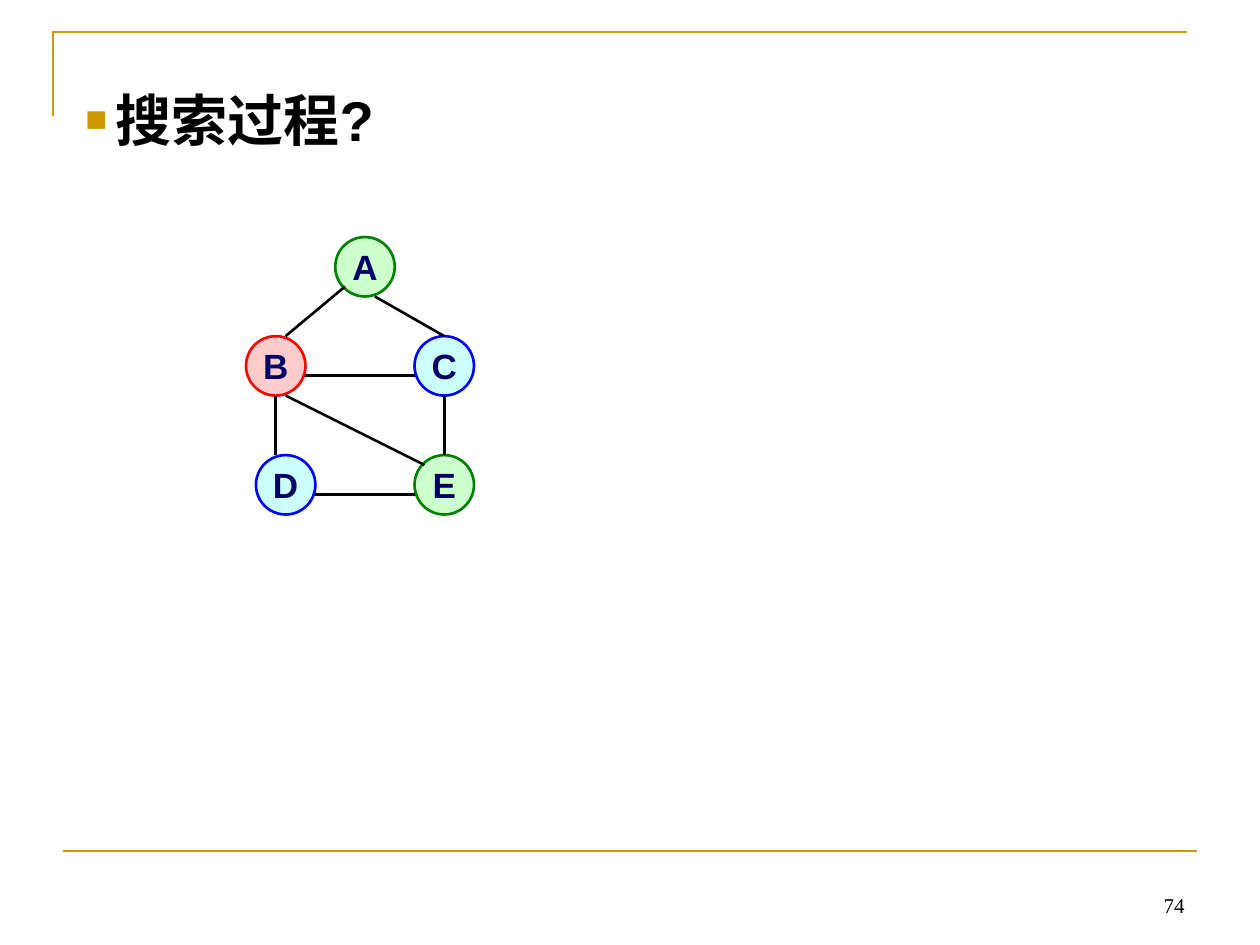
from collections import namedtuple
from dataclasses import dataclass

from lxml import etree
from pptx import Presentation
from pptx import util as u
from pptx.dml.color import RGBColor
from pptx.enum import shapes, text
from pptx.oxml.ns import qn

PX = 914400 / 126  # EMU in one px
Box = namedtuple("Box", "left top width height")


@dataclass(frozen=True)
class Theme:
    gold: str = "CC9900"
    ink: str = "000000"
    letter: str = "000066"
    green: tuple = ("CCFFCC", "008000")  # fill, outline
    blue: tuple = ("CCFFFF", "0000FF")
    red: tuple = ("FFCCCC", "FF0000")
    sans: str = "Arial"
    serif: str = "Times New Roman"
    heading_size: int = 32
    node_size: int = 20
    number_size: int = 12
    stroke: float = 1.5


THEME = Theme()


def px(length):
    return u.Emu(round(length * PX))


def rgb(value):
    return RGBColor.from_string(value)


def set_stroke(shape, color):
    shape.line.color.rgb = rgb(color)
    shape.line.width = u.Pt(THEME.stroke)


def add_line(page, start, end, color):
    line = page.shapes.add_connector(
        shapes.MSO_CONNECTOR.STRAIGHT, *map(px, (*start, *end)))
    set_stroke(line, color)
    etree.SubElement(line._element.spPr, qn("a:effectLst"))


def add_bullet(para, char, color, percent, hang):
    props = para._p.get_or_add_pPr()
    props.set("marL", str(px(hang)))
    props.set("indent", str(-px(hang)))
    tint = etree.SubElement(props, qn("a:buClr"))
    etree.SubElement(tint, qn("a:srgbClr"), val=color)
    etree.SubElement(props, qn("a:buSzPct"), val=str(percent * 1000))
    etree.SubElement(props, qn("a:buFont"), typeface=THEME.sans)
    etree.SubElement(props, qn("a:buChar"), char=char)


def write(frame, words, *, size, color, font=THEME.sans, bold=False, wrap=True,
          align=text.PP_ALIGN.LEFT, anchor=text.MSO_ANCHOR.TOP):
    frame.word_wrap = wrap
    frame.vertical_anchor = anchor
    para = frame.paragraphs[0]
    para.alignment = align
    span = para.add_run()
    span.text = words
    span.font.size = u.Pt(size)
    span.font.name = font
    span.font.bold = bold
    span.font.color.rgb = rgb(color)
    return para


def add_frame(page, box):
    # Corner bracket at the top left
    builder = page.shapes.build_freeform(box.left, box.top + 84, scale=PX)
    builder.add_line_segments(
        [(box.left, box.top), (box.left + 1134, box.top)], close=False)
    bracket = builder.convert_to_shape()
    bracket.shadow.inherit = False
    bracket.fill.background()
    set_stroke(bracket, THEME.gold)

    # Rule above the footer
    right, bottom = box.left + box.width, box.top + box.height
    add_line(page, (right - 1134, bottom), (right, bottom), THEME.gold)


def add_page_number(page, box, number):
    frame = page.shapes.add_textbox(*map(px, box)).text_frame
    write(frame, number, size=THEME.number_size, color=THEME.ink,
          font=THEME.serif, align=text.PP_ALIGN.RIGHT,
          anchor=text.MSO_ANCHOR.BOTTOM)


def add_graph(page, box):
    unit = box.width / 23  # the graph is laid out on a 23 by 28 grid

    def at(column, row):
        return box.left + column * unit, box.top + row * unit

    # Nodes: letter, grid corner, colours
    nodes = [
        ("A", (9, 0), THEME.green),
        ("E", (17, 22), THEME.green),
        ("C", (17, 10), THEME.blue),
        ("D", (1, 22), THEME.blue),
        ("B", (0, 10), THEME.red),
    ]
    for letter, corner, (fill, outline) in nodes:
        node = page.shapes.add_shape(
            shapes.MSO_SHAPE.OVAL, *map(px, (*at(*corner), 6 * unit, 6 * unit)))
        node.shadow.inherit = False
        node.fill.solid()
        node.fill.fore_color.rgb = rgb(fill)
        set_stroke(node, outline)
        write(node.text_frame, letter, size=THEME.node_size,
              color=THEME.letter, bold=True, wrap=False,
              align=text.PP_ALIGN.CENTER, anchor=text.MSO_ANCHOR.MIDDLE)

    # Edges: grid start and end
    edges = [
        ((10, 5), (4, 10)),    # A-B
        ((13, 6), (20, 10)),   # A-C
        ((17, 14), (6, 14)),   # C-B
        ((4, 16), (18, 23)),   # B-E
        ((3, 16), (3, 22)),    # B-D
        ((17, 26), (7, 26)),   # E-D
        ((20, 16), (20, 22)),  # C-E
    ]
    for start, end in edges:
        add_line(page, at(*start), at(*end), THEME.ink)


def add_heading(page, box, words):
    frame = page.shapes.add_textbox(*map(px, box)).text_frame
    frame.margin_right = px(50)
    para = write(frame, words, size=THEME.heading_size, color=THEME.ink,
                 bold=True)
    add_bullet(para, "■", THEME.gold, 65, hang=30)


def main():
    deck = Presentation()
    deck.slide_width, deck.slide_height = px(1260), px(945)
    page = deck.slides.add_slide(deck.slide_layouts[6])

    add_frame(page, Box(53, 32, 1144, 819))
    add_page_number(page, Box(903, 861, 294, 63), "74")
    add_graph(page, Box(246, 237, 228, 278))
    add_heading(page, Box(73, 79, 325, 81), "搜索过程?")

    deck.save("out.pptx")


if __name__ == "__main__":
    main()
